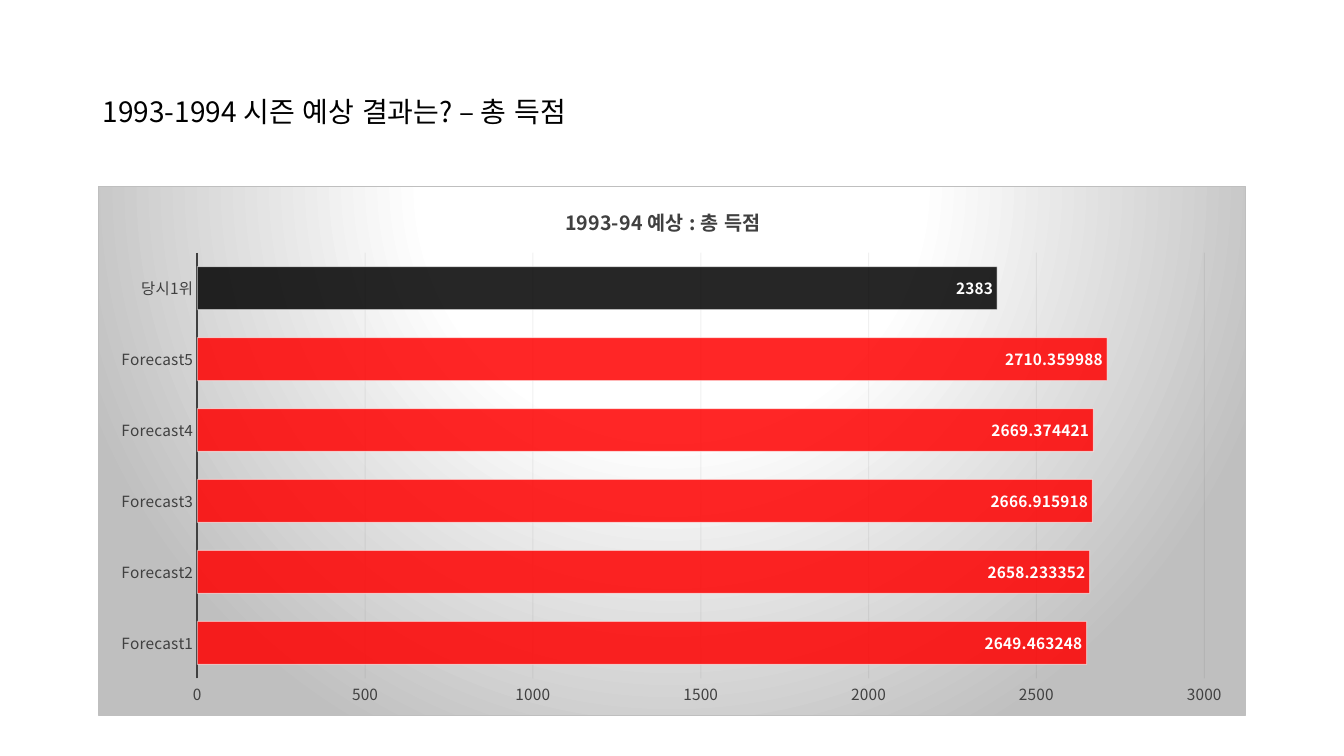
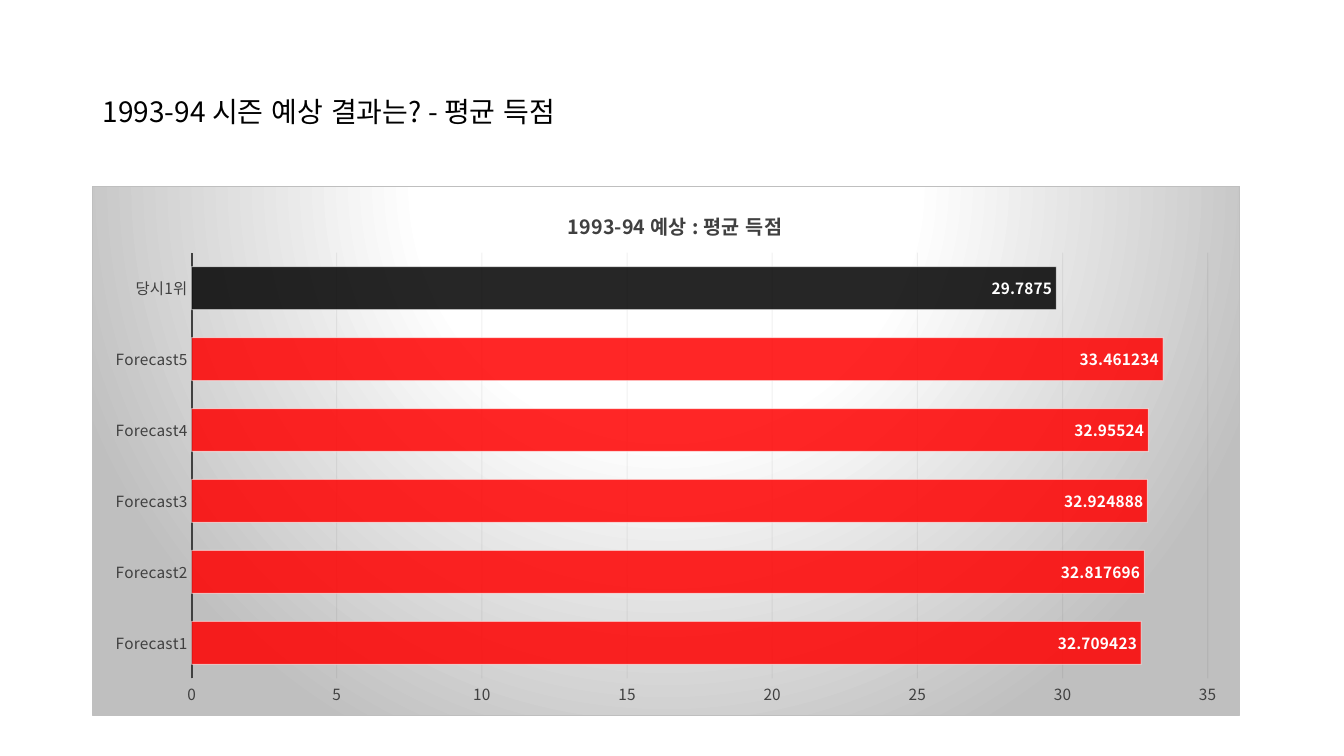
from lxml.etree import SubElement
from pptx import Presentation
from pptx.chart.data import CategoryChartData
from pptx.dml.color import RGBColor
from pptx.enum.chart import XL_CHART_TYPE, XL_LABEL_POSITION, XL_TICK_MARK
from pptx.enum.lang import MSO_LANGUAGE_ID
from pptx.enum.text import MSO_ANCHOR
from pptx.oxml import parse_xml
from pptx.oxml.ns import nsdecls, qn
from pptx.util import Cm, Pt

FONT = "Noto Sans CJK KR"
COLORS = {
    "text": "000000",
    "axis": "404040",
    "grid": "0D0D0D",
    "white": "FFFFFF",
    "panel_edge": "BFBFBF",
    "forecast": "FF0000",
    "champion": "000000",
}
CATEGORIES = [f"Forecast{number}" for number in range(1, 6)] + ["당시1위"]


def color(name):
    return RGBColor.from_string(COLORS[name])


def style_font(font, size, color_name, bold=False):
    font.name = FONT
    font.size = Pt(size)
    font.bold = bold
    font.color.rgb = color(color_name)
    font.language_id = MSO_LANGUAGE_ID.KOREAN


def write_text(frame, text, *, size, color_name="text", bold=False, spacing=None):
    paragraph = frame.paragraphs[0]
    paragraph.line_spacing = spacing
    run = paragraph.add_run()
    run.text = text
    style_font(run.font, size, color_name, bold)


def set_east_asian_font(root):
    """Give Hangul the same typeface as Latin text."""
    for latin in root.xpath(".//a:latin"):
        latin.addnext(parse_xml(f'<a:ea {nsdecls("a")} typeface="{FONT}"/>'))


def set_opacity(chart_format, *percentages):
    """Set opacity for the fill and line colours, in that order."""
    colors = chart_format.element.xpath("./c:spPr//a:srgbClr")
    for element, percent in zip(colors, percentages):
        SubElement(element, qn("a:alpha"), val=str(percent * 1000))


def set_layout(parent, index, target=None, **percentages):
    """Place a chart part by percentages of the chart area."""
    for existing in parent.findall(qn("c:layout")):
        parent.remove(existing)
    layout = parse_xml(f'<c:layout {nsdecls("c")}><c:manualLayout/></c:layout>')
    manual = layout[0]
    if target:
        SubElement(manual, qn("c:layoutTarget"), val=target)
    for key in ("x", "y"):
        SubElement(manual, qn(f"c:{key}Mode"), val="edge")
    for key, percent in percentages.items():
        SubElement(manual, qn(f"c:{key}"), val=str(percent / 100))
    parent.insert(index, layout)


class Deck:
    def __init__(self):
        self.presentation = Presentation()
        self.presentation.slide_width = Cm(33.87)
        self.presentation.slide_height = Cm(19.05)
        self.slide = None

    def add_slide(self):
        blank = self.presentation.slide_layouts[6]
        self.slide = self.presentation.slides.add_slide(blank)

    def add_title(self, text):
        heading = self.slide.shapes.add_textbox(Cm(2.34), Cm(1.02), Cm(29.21), Cm(3.68))
        heading.text_frame.word_wrap = True
        heading.text_frame.vertical_anchor = MSO_ANCHOR.MIDDLE
        write_text(heading.text_frame, text, size=20, spacing=0.9)
        set_east_asian_font(heading.element)

    def add_forecast_chart(self, title, values, left, maximum, step, title_at, plot_span):
        data = CategoryChartData()
        data.categories = CATEGORIES
        data.add_series("Series 1", values)
        chart = self.slide.shapes.add_chart(
            XL_CHART_TYPE.BAR_CLUSTERED, Cm(left), Cm(4.69), Cm(28.93), Cm(13.35), data
        ).chart
        chart.has_legend = False
        style_font(chart.font, 11, "text")
        write_text(chart.chart_title.text_frame, title, size=14, color_name="axis", bold=True)
        self.style_axes(chart, maximum, step)
        self.style_bars(chart.plots[0])
        self.style_panel(chart.element)

        # Title and plot positions
        title_x, title_y = title_at
        plot_x, plot_width = plot_span
        set_layout(chart.element.xpath(".//c:title")[0], 1, x=title_x, y=title_y)
        set_layout(chart.element.xpath(".//c:plotArea")[0], 0, "inner",
                   x=plot_x, y=12.5, w=plot_width, h=80.5)
        set_east_asian_font(chart.element)

    def style_axes(self, chart, maximum, step):
        for axis in (chart.category_axis, chart.value_axis):
            axis.major_tick_mark = axis.minor_tick_mark = XL_TICK_MARK.NONE
            style_font(axis.tick_labels.font, 11, "axis")
        category_line = chart.category_axis.format.line
        category_line.color.rgb = color("axis")
        category_line.width = Pt(1.5)

        scores = chart.value_axis
        scores.minimum_scale, scores.maximum_scale = 0, maximum
        scores.major_unit = step
        scores.format.line.fill.background()
        grid = scores.major_gridlines.format
        grid.line.color.rgb = color("grid")
        grid.line.width = Pt(0.75)
        set_opacity(grid, 6)

    def style_bars(self, plot):
        plot.gap_width = 65
        plot.vary_by_categories = False
        series = plot.series[0]
        series.invert_if_negative = False
        champion = series.points[len(CATEGORIES) - 1]
        for bars, color_name in ((series, "forecast"), (champion, "champion")):
            look = bars.format
            look.fill.solid()
            look.fill.fore_color.rgb = color(color_name)
            look.line.color.rgb = color("white")
            look.line.width = Pt(0.75)
            set_opacity(look, 85, 50)

        labels = series.data_labels
        labels.show_value = True
        labels.position = XL_LABEL_POSITION.INSIDE_END
        style_font(labels.font, 11, "white", bold=True)

    def style_panel(self, chart_space):
        """Radial grey background with a thin border and square corners."""
        stops = "".join(
            f'<a:gs pos="{position * 1000}"><a:srgbClr val="{COLORS[name]}"/></a:gs>'
            for position, name in ((0, "white"), (39, "white"), (100, "panel_edge"))
        )
        chart_space.find(qn("c:chart")).addnext(parse_xml(
            f'<c:spPr {nsdecls("c", "a")}><a:gradFill><a:gsLst>{stops}</a:gsLst>'
            '<a:path path="circle">'
            '<a:fillToRect l="50000" t="-80000" r="50000" b="180000"/></a:path></a:gradFill>'
            f'<a:ln w="{Pt(0.75)}"><a:solidFill><a:srgbClr val="{COLORS["panel_edge"]}"/>'
            '</a:solidFill></a:ln></c:spPr>'
        ))
        corners = parse_xml(f'<c:roundedCorners {nsdecls("c")} val="0"/>')
        chart_space.find(qn("c:date1904")).addnext(corners)


def main():
    deck = Deck()

    # Total points
    deck.add_slide()
    deck.add_title("1993-1994 시즌 예상 결과는? – 총 득점")
    deck.add_forecast_chart(
        "1993-94 예상 : 총 득점",
        [2649.463248, 2658.233352, 2666.915918, 2669.374421, 2710.359988, 2383],
        left=2.46, maximum=3000, step=500, title_at=(40.4, 2.8), plot_span=(8.65, 87.8),
    )

    # Average points
    deck.add_slide()
    deck.add_title("1993-94 시즌 예상 결과는? - 평균 득점")
    deck.add_forecast_chart(
        "1993-94 예상 : 평균 득점",
        [32.709423, 32.817696, 32.924888, 32.95524, 33.461234, 29.7875],
        left=2.33, maximum=35, step=5, title_at=(41.1, 3.6), plot_span=(8.6, 88.6),
    )

    deck.presentation.save("out.pptx")


if __name__ == "__main__":
    main()
